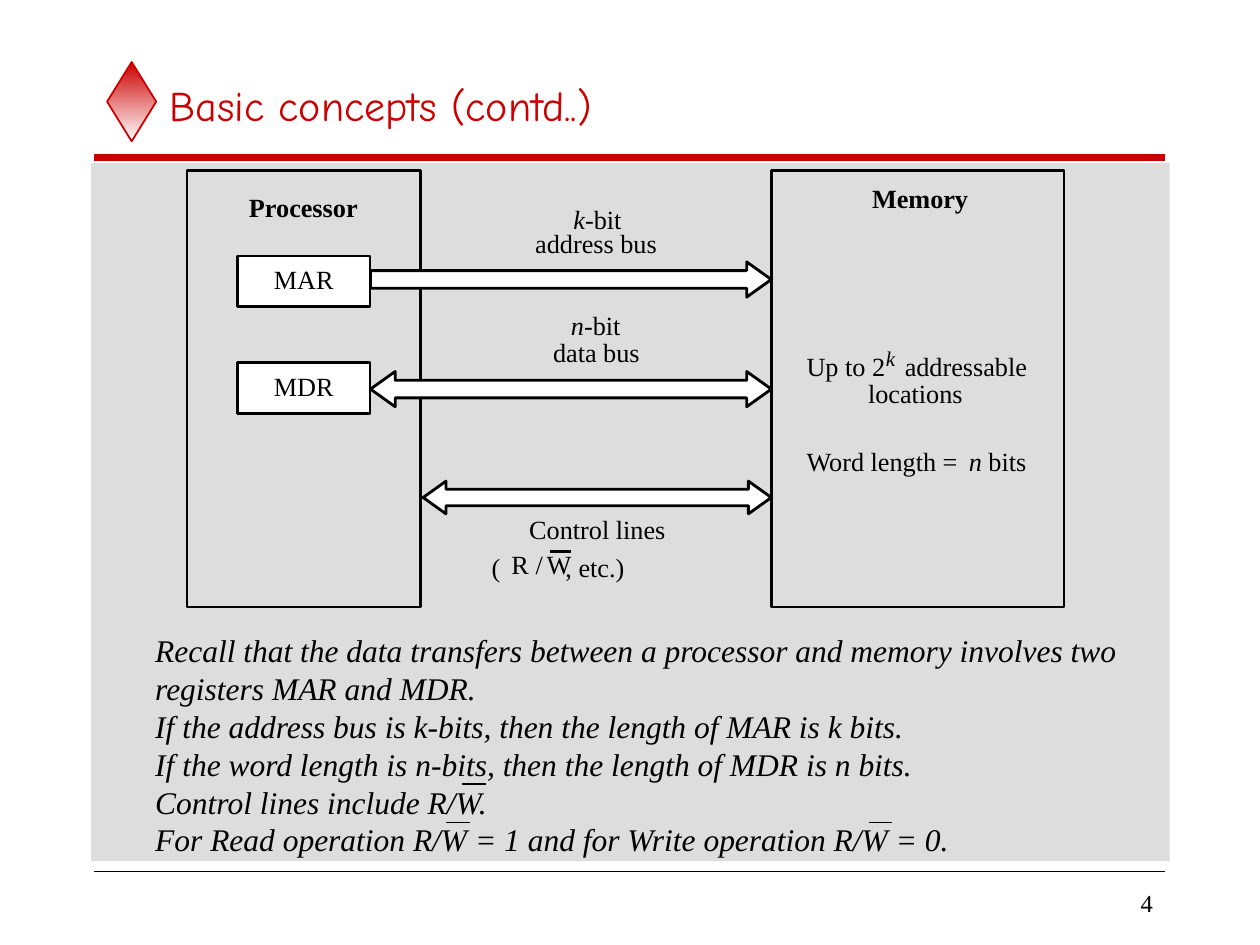
from pptx import Presentation
from pptx.dml.color import RGBColor
from pptx.enum.shapes import MSO_CONNECTOR, MSO_SHAPE
from pptx.enum.text import MSO_ANCHOR, PP_ALIGN
from pptx.oxml.ns import qn
from pptx.util import Cm, Pt
from lxml import etree

STRAIGHT = MSO_CONNECTOR.STRAIGHT
RECTANGLE = MSO_SHAPE.RECTANGLE
DIAMOND = MSO_SHAPE.DIAMOND
ONE_WAY = MSO_SHAPE.RIGHT_ARROW
TWO_WAY = MSO_SHAPE.LEFT_RIGHT_ARROW
TOP = MSO_ANCHOR.TOP
MIDDLE = MSO_ANCHOR.MIDDLE
LEFT = PP_ALIGN.LEFT
CENTER = PP_ALIGN.CENTER
RIGHT = PP_ALIGN.RIGHT

SERIF = "Times New Roman"
HAND = "Comic Neue"
BLACK = "000000"
WHITE = "FFFFFF"
RED = "CC0000"
GRAY = "DDDDDD"
OUTLINE = 1.62


def color(code):
    return RGBColor.from_string(code)


def add_span(para, text, size, font=SERIF, ink=BLACK, style=""):
    span = para.add_run()
    span.text = text
    span.font.size = Pt(size)
    span.font.name = font
    span.font.color.rgb = color(ink)
    span.font.bold = "b" in style
    span.font.italic = "i" in style


def add_frame(page, left, top, width, height, anchor=TOP, margins=(0.25, 0.13)):
    box = page.shapes.add_textbox(Cm(left), Cm(top), Cm(width), Cm(height))
    frame = box.text_frame
    frame.word_wrap = True
    frame.vertical_anchor = anchor
    frame.margin_left = frame.margin_right = Cm(margins[0])
    frame.margin_top = frame.margin_bottom = Cm(margins[1])
    return frame


def add_label(page, left, top, width, *spans, size=15):
    frame = add_frame(page, left, top, width, 0.63, margins=(0, 0))
    for text, style in spans:
        add_span(frame.paragraphs[0], text, size, style=style)


def add_line(page, left, top, width, weight, ink=BLACK):
    line = page.shapes.add_connector(
        STRAIGHT, Cm(left), Cm(top), Cm(left + width), Cm(top))
    line.line.color.rgb = color(ink)
    line.line.width = Pt(weight)
    etree.SubElement(line._element.spPr, qn("a:effectLst"))


def add_block(page, kind, left, top, width, height, fill=None, ink=BLACK, weight=OUTLINE):
    block = page.shapes.add_shape(kind, Cm(left), Cm(top), Cm(width), Cm(height))
    block.shadow.inherit = False
    if fill:
        block.fill.solid()
        block.fill.fore_color.rgb = color(fill)
    else:
        block.fill.background()
    if ink:
        block.line.color.rgb = color(ink)
        block.line.width = Pt(weight)
    else:
        block.line.fill.background()
    return block


def draw_header(page, left, top, width):
    diamond = add_block(page, DIAMOND, left + 0.26, top, 0.99, 1.6, WHITE, RED, 1)
    diamond.fill.gradient()
    diamond.fill.gradient_angle = 270
    for stop, code in zip(diamond.fill.gradient_stops, (RED, WHITE)):
        stop.color.rgb = color(code)
    add_line(page, left, top + 1.93, width, 4, RED)
    frame = add_frame(page, left + 1.27, top + 0.02, width - 1.27, 1.7, MIDDLE)
    add_span(frame.paragraphs[0], "Basic concepts (contd..)", 24, HAND, RED)


def draw_footer(page, left, top, width):
    add_line(page, left, top, width, 1)
    frame = add_frame(page, left + width - 3.61, top + 0.2, 3.61, 0.84, MIDDLE)
    para = frame.paragraphs[0]
    para.alignment = RIGHT
    add_span(para, "4", 14)


def draw_processor(page, left, top, width, height):
    add_block(page, RECTANGLE, left, top, width, height)
    add_label(page, left + 1.25, top + 0.43, 2.3, ("Processor", "b"))
    for row, name in enumerate(("MAR", "MDR")):
        register = add_block(
            page, RECTANGLE, left + 1.02, top + 1.73 + row * 2.15, 2.67, 1.02, WHITE)
        frame = register.text_frame
        frame.vertical_anchor = MIDDLE
        frame.margin_top = Cm(0.13)
        frame.margin_bottom = Cm(0.21)
        para = frame.paragraphs[0]
        para.alignment = CENTER
        add_span(para, name, 15)


def draw_memory(page, left, top, width, height):
    add_block(page, RECTANGLE, left, top, width, height)
    add_label(page, left + 2.02, top + 0.25, 2.1, ("Memory", "b"))
    add_label(page, left + 0.7, top + 3.63, 1.7, ("Up to 2", ""))
    add_label(page, left + 2.3, top + 3.53, 0.25, ("k", "i"), size=12)
    add_label(page, left + 2.68, top + 3.63, 2.65, ("addressable", ""))
    add_label(page, left + 1.94, top + 4.17, 2.1, ("locations", ""))
    add_label(page, left + 0.7, top + 5.54, 3.2, ("Word length =", ""))
    add_label(page, left + 3.97, top + 5.54, 1.3, ("n", "i"), (" bits", ""))


def draw_buses(page, left, top, width):
    buses = [(ONE_WAY, 0, 0.71), (TWO_WAY, 0, 0.71), (TWO_WAY, 1.06, 0.66)]
    for row, (kind, indent, height) in enumerate(buses):
        arrow = add_block(page, kind, left + indent, top + 1.85 + row * 2.21,
                          width - indent, height, WHITE)
        arrow.adjustments[0] = 0.5
        arrow.adjustments[1] = 0.7
    add_label(page, left + 4.09, top + 0.66, 1.1, ("k", "i"), ("-bit", ""))
    add_label(page, left + 4.04, top + 2.81, 1.15, ("n", "i"), ("-bit", ""))
    captions = [
        ("address bus", 3.32, 1.15, 2.6),
        ("data bus", 3.68, 3.35, 1.9),
        ("Control lines", 3.2, 6.91, 2.9),
        ("(", 2.44, 7.69, 0.25),
        ("R", 2.84, 7.62, 0.42),
        ("/", 3.33, 7.62, 0.2),
        ("W", 3.55, 7.62, 0.56),
        (", etc.)", 3.93, 7.69, 1.3),
    ]
    for text, across, down, breadth in captions:
        add_label(page, left + across, top + down, breadth, (text, ""))
    add_line(page, left + 3.61, top + 7.69, 0.44, OUTLINE)


def draw_notes(page, left, top, width, height):
    sentences = [
        "Recall that the data transfers between a processor and memory involves two",
        "registers MAR and MDR.",
        "If the address bus is k-bits, then the length of MAR is k bits.",
        "If the word length is n-bits, then the length of MDR is n bits.",
        "Control lines include R/W.",
        "For Read operation R/W = 1 and for Write operation R/W = 0.",
    ]
    frame = add_frame(page, left, top, width, height)
    for index, sentence in enumerate(sentences):
        para = frame.add_paragraph() if index else frame.paragraphs[0]
        para.alignment = LEFT
        para.line_spacing = Pt(21.6)
        add_span(para, sentence, 18, style="i")
    for across, down in ((6.43, 3.2), (6.12, 3.98), (14.63, 3.98)):
        add_line(page, left + across, top + down, 0.48, 1)


def main():
    deck = Presentation()
    deck.slide_width = Cm(25.4)
    deck.slide_height = Cm(19.05)
    page = deck.slides.add_slide(deck.slide_layouts[6])
    draw_header(page, 1.9, 1.25, 21.59)
    draw_footer(page, 1.9, 17.57, 21.59)
    add_block(page, RECTANGLE, 1.84, 3.29, 21.74, 14.07, GRAY, None)
    draw_processor(page, 3.77, 3.43, 4.71, 8.81)
    draw_memory(page, 15.56, 3.43, 5.89, 8.81)
    draw_buses(page, 7.47, 3.43, 8.08)
    draw_notes(page, 2.88, 12.6, 20.07, 4.83)
    deck.save("out.pptx")


if __name__ == "__main__":
    main()
